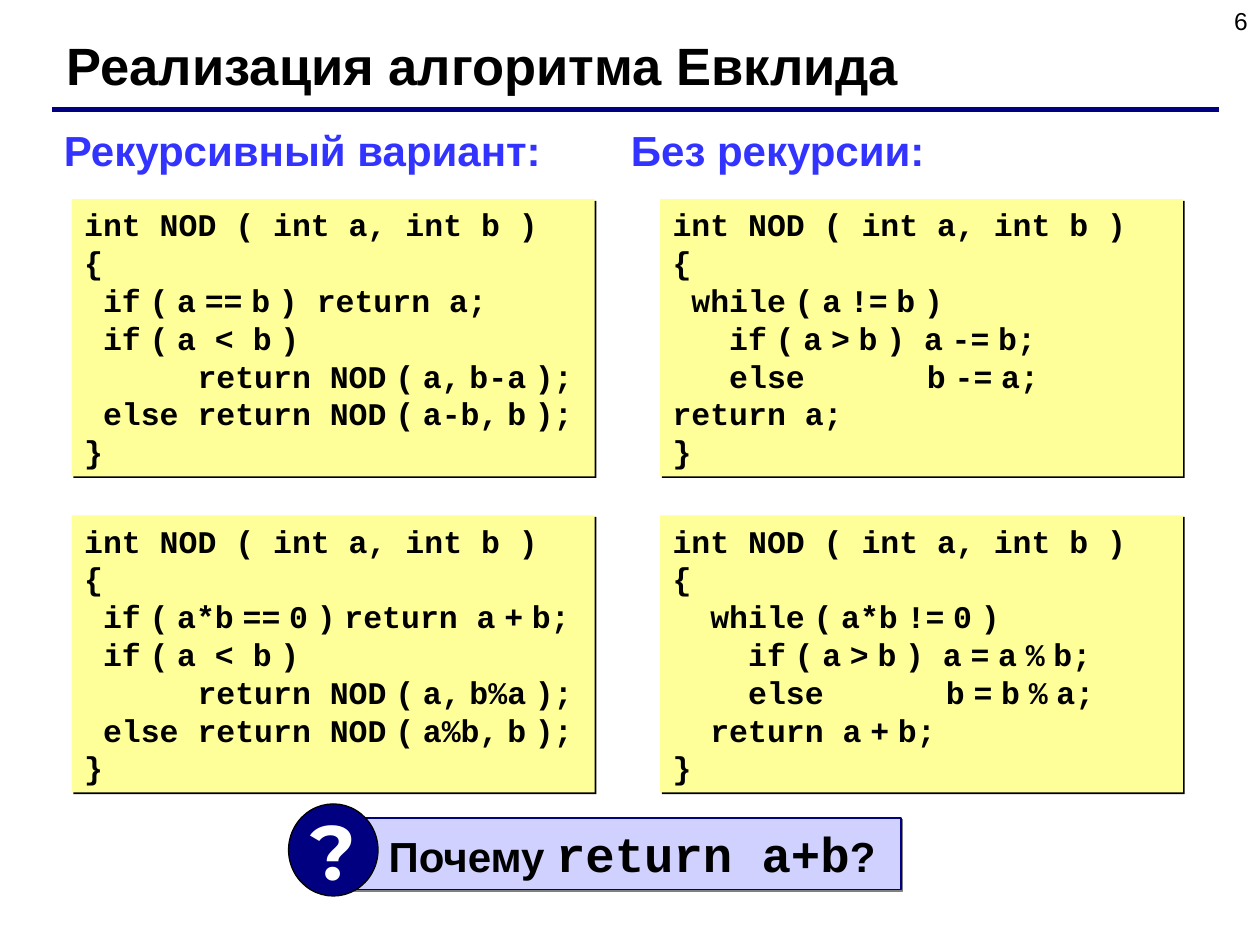
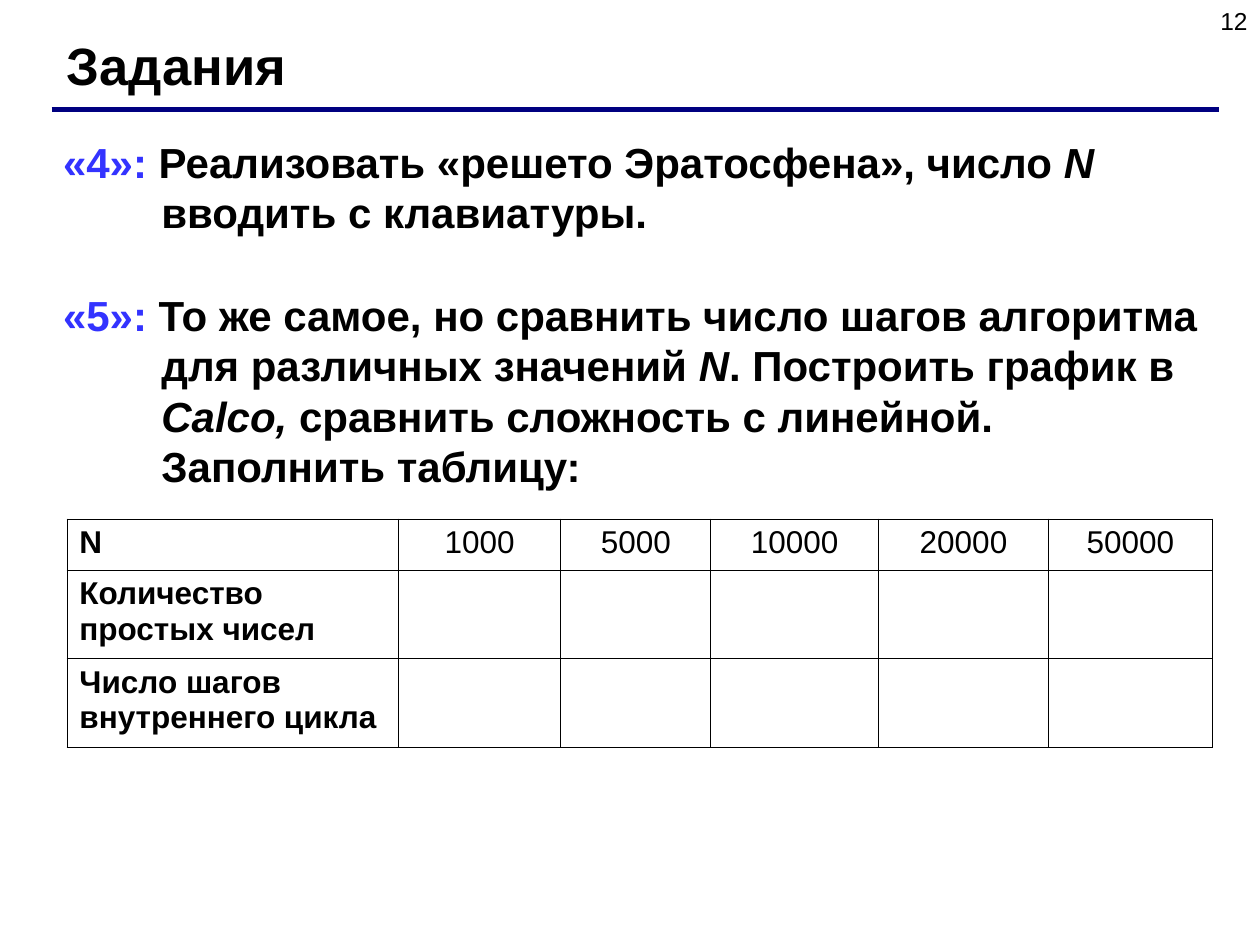
from itertools import product

from lxml.etree import SubElement
from pptx import Presentation
from pptx.dml.color import RGBColor
from pptx.enum.shapes import MSO_CONNECTOR, MSO_SHAPE
from pptx.enum.text import MSO_ANCHOR, PP_ALIGN
from pptx.oxml.ns import qn
from pptx.util import Pt

BLACK = "000000"
WHITE = "FFFFFF"
NAVY = "000080"
BLUE = "3333FF"
YELLOW = "FFFF99"
LILAC = "D1D1FF"
GREY = "808080"
SANS = "Arial"
MONO = "Courier New"
NARROW_SPACE = "~"

RECURSIVE_SUBTRACTION = """int NOD ( int a, int b )
{
 if~(~a~==~b~) return a;
 if~(~a < b~)
      return NOD~(~a,~b-a~);
 else return NOD~(~a-b,~b~);
}"""
LOOP_SUBTRACTION = """int NOD ( int a, int b )
{
 while~(~a~!=~b~)
   if~(~a~>~b~) a~-=~b;
   else      ~b~-=~a;
return a;
}"""
RECURSIVE_REMAINDER = """int NOD ( int a, int b )
{
 if~(~a*b~==~0~)~return a~+~b;
 if~(~a < b~)
      return NOD~(~a,~b%a~);
 else return NOD~(~a%b,~b~);
}"""
LOOP_REMAINDER = """int NOD ( int a, int b )
{
  while~(~a*b~!=~0~)
    if~(~a~>~b~) a~=~a~%~b;
    else      ~b~=~b~%~a;
  return a~+~b;
}"""


def color(value):
    return RGBColor.from_string(value)


def add_span(para, text, size=24, font=SANS, ink=BLACK, bold=True, italic=False):
    span = para.add_run()
    span.text = text
    span.font.size = Pt(size)
    span.font.name = font
    span.font.bold = bold
    span.font.italic = italic
    span.font.color.rgb = color(ink)


def format_frame(frame, wrap=True, anchor=MSO_ANCHOR.TOP, left=7.2):
    frame.word_wrap = wrap
    frame.vertical_anchor = anchor
    frame.margin_left, frame.margin_right = Pt(left), Pt(7.2)
    frame.margin_top = frame.margin_bottom = Pt(3.6)


def place(shape, left, top, width, height):
    shape.left, shape.top = Pt(left), Pt(top)
    shape.width, shape.height = Pt(width), Pt(height)


def format_para(para, align=PP_ALIGN.LEFT, before=0, line=None):
    para.alignment = align
    para.space_before = Pt(before)
    if line:
        para.line_spacing = Pt(line)


def add_text(page, text, left, top, width, height, align=PP_ALIGN.LEFT, wrap=True, **style):
    box = page.shapes.add_textbox(Pt(left), Pt(top), Pt(width), Pt(height))
    format_frame(box.text_frame, wrap)
    para = box.text_frame.paragraphs[0]
    format_para(para, align)
    add_span(para, text, **style)


def add_box(shapes, kind, left, top, width, height, fill, line=None, weight=1):
    box = shapes.add_shape(kind, Pt(left), Pt(top), Pt(width), Pt(height))
    box.shadow.inherit = False
    box.fill.solid()
    box.fill.fore_color.rgb = color(fill)
    if line:
        box.line.color.rgb = color(line)
        box.line.width = Pt(weight)
    else:
        box.line.fill.background()
    return box


def add_shadow(box, ink):
    effects = box._element.spPr.find(qn("a:effectLst"))
    shadow = SubElement(effects, qn("a:outerShdw"), blurRad="0", dist=str(Pt(1.4)),
                        dir="2700000", algn="ctr", rotWithShape="0")
    SubElement(shadow, qn("a:srgbClr"), val=ink)


def add_page(deck, layout, title, number):
    page = deck.slides.add_slide(deck.slide_layouts[layout])
    add_text(page, number, 552, 0, 168, 37.5, align=PP_ALIGN.RIGHT, size=14, bold=False)
    rule = page.shapes.add_connector(MSO_CONNECTOR.STRAIGHT, Pt(29.5), Pt(62.6), Pt(696.5), Pt(62.6))
    rule.line.color.rgb = color(NAVY)
    rule.line.width = Pt(3)
    SubElement(rule._element.spPr, qn("a:effectLst"))
    heading = page.shapes.title
    place(heading, 31, 15.1, 640.8, 43.2)
    format_frame(heading.text_frame)
    para = heading.text_frame.paragraphs[0]
    format_para(para, line=36)
    add_span(para, title, size=30)
    return page


def add_code(page, code, left, top):
    box = add_box(page.shapes, MSO_SHAPE.RECTANGLE, left, top, 298.8, 158.4, YELLOW)
    add_shadow(box, BLACK)
    frame = box.text_frame
    format_frame(frame)
    for index, line in enumerate(code.split("\n")):
        para = frame.add_paragraph() if index else frame.paragraphs[0]
        format_para(para, line=21.6)
        for position, part in enumerate(line.split(NARROW_SPACE)):
            if position:
                add_span(para, " ", size=18)
            if part:
                add_span(para, part, size=18, font=MONO)


def add_question(page):
    group = page.shapes.add_group_shape()
    banner = add_box(group.shapes, MSO_SHAPE.RECTANGLE, 201.6, 467.3, 313.2, 41, LILAC, NAVY)
    add_shadow(banner, GREY)
    format_frame(banner.text_frame, left=20.5)
    para = banner.text_frame.paragraphs[0]
    format_para(para, line=33.6)
    add_span(para, "Почему ")
    add_span(para, "return a+b", size=28, font=MONO)
    add_span(para, "?")
    badge = add_box(group.shapes, MSO_SHAPE.OVAL, 164.9, 459.4, 51.1, 52.6, NAVY, BLACK, 0.75)
    format_frame(badge.text_frame, wrap=False, anchor=MSO_ANCHOR.MIDDLE)
    para = badge.text_frame.paragraphs[0]
    format_para(para, PP_ALIGN.CENTER)
    add_span(para, "?", size=44, font="Montserrat", ink=WHITE)


def add_tasks(page, tasks):
    body = page.placeholders[1]
    place(body, 28.8, 74.2, 663.1, 210.2)
    frame = body.text_frame
    format_frame(frame)
    for index, (grade, parts) in enumerate(tasks):
        para = frame.add_paragraph() if index else frame.paragraphs[0]
        format_para(para, before=30 * index, line=28.8)
        properties = para._p.get_or_add_pPr()
        properties.set("marL", str(Pt(56.2)))
        properties.set("indent", str(-Pt(56.2)))
        SubElement(properties, qn("a:buNone"))
        add_span(para, grade, ink=BLUE)
        for position, part in enumerate(parts):
            add_span(para, part, italic=position % 2 == 1)


def add_borders(cell):
    properties = cell._tc.get_or_add_tcPr()
    for position, side in enumerate(("lnL", "lnR", "lnT", "lnB")):
        border = properties.makeelement(qn("a:" + side), {"w": str(Pt(0.45))})
        fill = SubElement(border, qn("a:solidFill"))
        SubElement(fill, qn("a:srgbClr"), val=BLACK)
        properties.insert(position, border)


def add_grid(page, rows, left, top, widths, heights):
    frame = page.shapes.add_table(len(rows), len(widths), Pt(left), Pt(top),
                                  Pt(sum(widths)), Pt(sum(heights)))
    table = frame.table
    table.first_row = table.horz_banding = False
    for column, width in zip(table.columns, widths):
        column.width = Pt(width)
    for row, height in zip(table.rows, heights):
        row.height = Pt(height)
    for row, column in product(range(len(rows)), range(len(widths))):
        cell = table.cell(row, column)
        cell.fill.background()
        add_borders(cell)
        if column < len(rows[row]):
            para = cell.text_frame.paragraphs[0]
            format_para(para, PP_ALIGN.CENTER if column else PP_ALIGN.LEFT)
            add_span(para, rows[row][column], size=18, bold=column == 0)


def build_euclid(deck):
    page = add_page(deck, 5, "Реализация алгоритма Евклида", "6")
    add_text(page, "Рекурсивный вариант:", 29.5, 67.7, 288, 36, wrap=False, ink=BLUE)
    add_text(page, "Без рекурсии:", 353.5, 67.7, 182.2, 36, wrap=False, ink=BLUE)
    codes = (RECURSIVE_SUBTRACTION, LOOP_SUBTRACTION, RECURSIVE_REMAINDER, LOOP_REMAINDER)
    for index, code in enumerate(codes):
        row, column = divmod(index, 2)
        add_code(page, code, 41 + 336.2 * column, 113.8 + 180.7 * row)
    add_question(page)


def build_tasks(deck):
    page = add_page(deck, 1, "Задания", "12")
    add_tasks(page, [
        ("«4»: ", ["Реализовать «решето Эратосфена», число ", "N ", "вводить с клавиатуры."]),
        ("«5»: ", ["То же самое, но сравнить число шагов алгоритма для различных значений ", "N",
                   ". Построить график в ", "Calco, ",
                   "сравнить сложность с линейной. Заполнить таблицу:"]),
    ])
    rows = [["N", "1000", "5000", "10000", "20000", "50000"],
            ["Количество простых чисел"],
            ["Число шагов внутреннего цикла"]]
    add_grid(page, rows, 38.2, 296.6, [189.4, 92.9, 85.7, 95.8, 97.2, 93.6], [29.1, 50.6, 50.6])


def main():
    deck = Presentation()
    deck.slide_width, deck.slide_height = Pt(720), Pt(540)
    build_euclid(deck)
    build_tasks(deck)
    deck.save("out.pptx")


if __name__ == "__main__":
    main()
